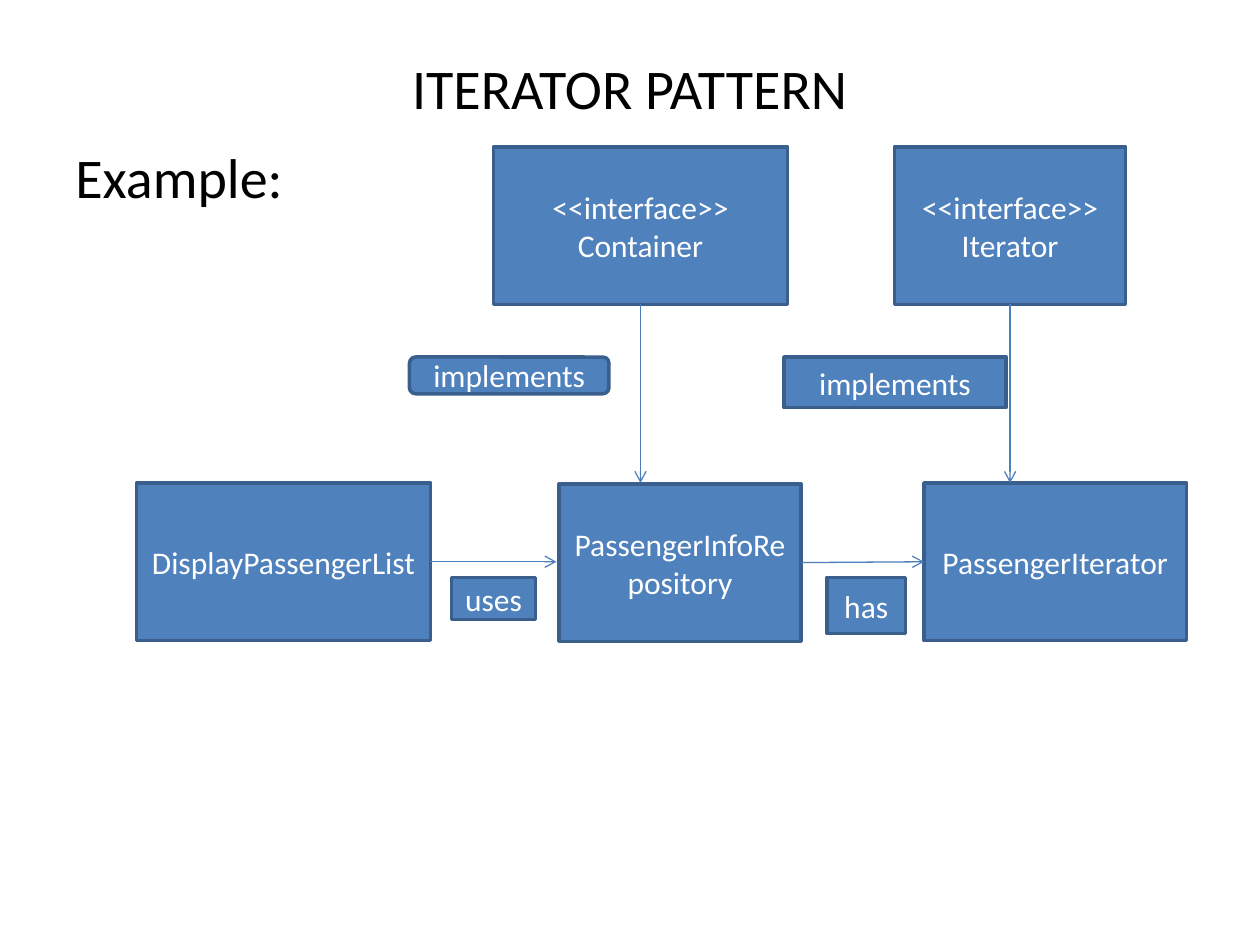
"""Build the iterator pattern example slide."""
from lxml import etree
from pptx import Presentation
from pptx.dml.color import RGBColor
from pptx.enum import shapes, text
from pptx.oxml import ns
from pptx.util import Pt

COLORS = {"fill": "4F81BD", "border": "3A5F8C", "arrow": "4B7EBC", "dark": "000000", "light": "FFFFFF"}
FONT = "Calibri"
BOX_HEIGHT = 90
INTERFACE_TOP, LABEL_TOP, CLASS_TOP, RELATION_TOP = 84, 204, 276, 330
BOTTOM, LEFT, RIGHT = 2, 1, 3

HEADINGS = [
    ("ITERATOR PATTERN", (36, 21.6, 648, 56.2), text.PP_ALIGN.CENTER, text.MSO_ANCHOR.MIDDLE),
    ("Example:", (36, 77.8, 648, 404.6), text.PP_ALIGN.LEFT, text.MSO_ANCHOR.TOP),
]
CLASSES = {
    "iterator": (["<<interface>>", "Iterator"], 511.2, INTERFACE_TOP, 132),
    "passenger_iterator": (["PassengerIterator"], 528, CLASS_TOP, 150),
    "repository": (["PassengerInfoRepository"], 319.5, CLASS_TOP + 0.5, 138.2),
    "display": (["DisplayPassengerList"], 78, CLASS_TOP, 168),
    "container": (["<<interface>>", "Container"], 282, INTERFACE_TOP, 168),
}
RECT = shapes.MSO_SHAPE.RECTANGLE
LABELS = [
    ("uses", (258, RELATION_TOP, 48, 24), RECT),
    ("has", (472.5, RELATION_TOP, 45, 32), RECT),
    ("implements", (234, LABEL_TOP, 114, 21), shapes.MSO_SHAPE.ROUNDED_RECTANGLE),
    ("implements", (448, LABEL_TOP, 127, 29), RECT),
]
ROW_MIDDLE = CLASS_TOP + BOX_HEIGHT / 2
ARROWS = [
    ("iterator", BOTTOM, (577.2, CLASS_TOP), None),
    ("container", BOTTOM, (366, CLASS_TOP), None),
    ("display", RIGHT, (318, ROW_MIDDLE), None),
    ("repository", RIGHT, (528, ROW_MIDDLE), "passenger_iterator"),
]


def color(name):
    return RGBColor.from_string(COLORS[name])


def write(frame, lines, size, ink, align, anchor):
    frame.word_wrap = True
    frame.vertical_anchor = anchor
    for index, line in enumerate(lines):
        paragraph = frame.add_paragraph() if index else frame.paragraphs[0]
        paragraph.alignment = align
        run = paragraph.add_run()
        run.text = line
        run.font.name, run.font.size = FONT, Pt(size)
        run.font.color.rgb = color(ink)


def add_box(slide, lines, bounds, kind=RECT):
    box = slide.shapes.add_shape(kind, *map(Pt, bounds))
    box.shadow.inherit = False
    box.fill.solid()
    box.fill.fore_color.rgb = color("fill")
    box.line.color.rgb = color("border")
    box.line.width = Pt(2)
    write(box.text_frame, lines, 18, "light", text.PP_ALIGN.CENTER, text.MSO_ANCHOR.MIDDLE)
    return box


def add_arrow(slide, source, side, end, target):
    arrow = slide.shapes.add_connector(shapes.MSO_CONNECTOR.STRAIGHT, 0, 0, *map(Pt, end))
    arrow.begin_connect(source, side)
    if target is not None:
        arrow.end_connect(target, LEFT)
    arrow.line.color.rgb = color("arrow")
    arrow.line.width = Pt(0.75)
    etree.SubElement(arrow.line._get_or_add_ln(), ns.qn("a:tailEnd"), type="arrow")
    etree.SubElement(arrow._element.spPr, ns.qn("a:effectLst"))


def main():
    deck = Presentation()
    deck.slide_width, deck.slide_height = Pt(720), Pt(540)
    slide = deck.slides.add_slide(deck.slide_layouts[6])
    for heading, bounds, align, anchor in HEADINGS:
        frame = slide.shapes.add_textbox(*map(Pt, bounds)).text_frame
        write(frame, [heading], 32, "dark", align, anchor)
    boxes = {
        name: add_box(slide, lines, (left, top, width, BOX_HEIGHT))
        for name, (lines, left, top, width) in CLASSES.items()
    }
    for source, side, end, target in ARROWS:
        add_arrow(slide, boxes[source], side, end, boxes.get(target))
    for label, bounds, kind in LABELS:
        add_box(slide, [label], bounds, kind)
    deck.save("out.pptx")


if __name__ == "__main__":
    main()
